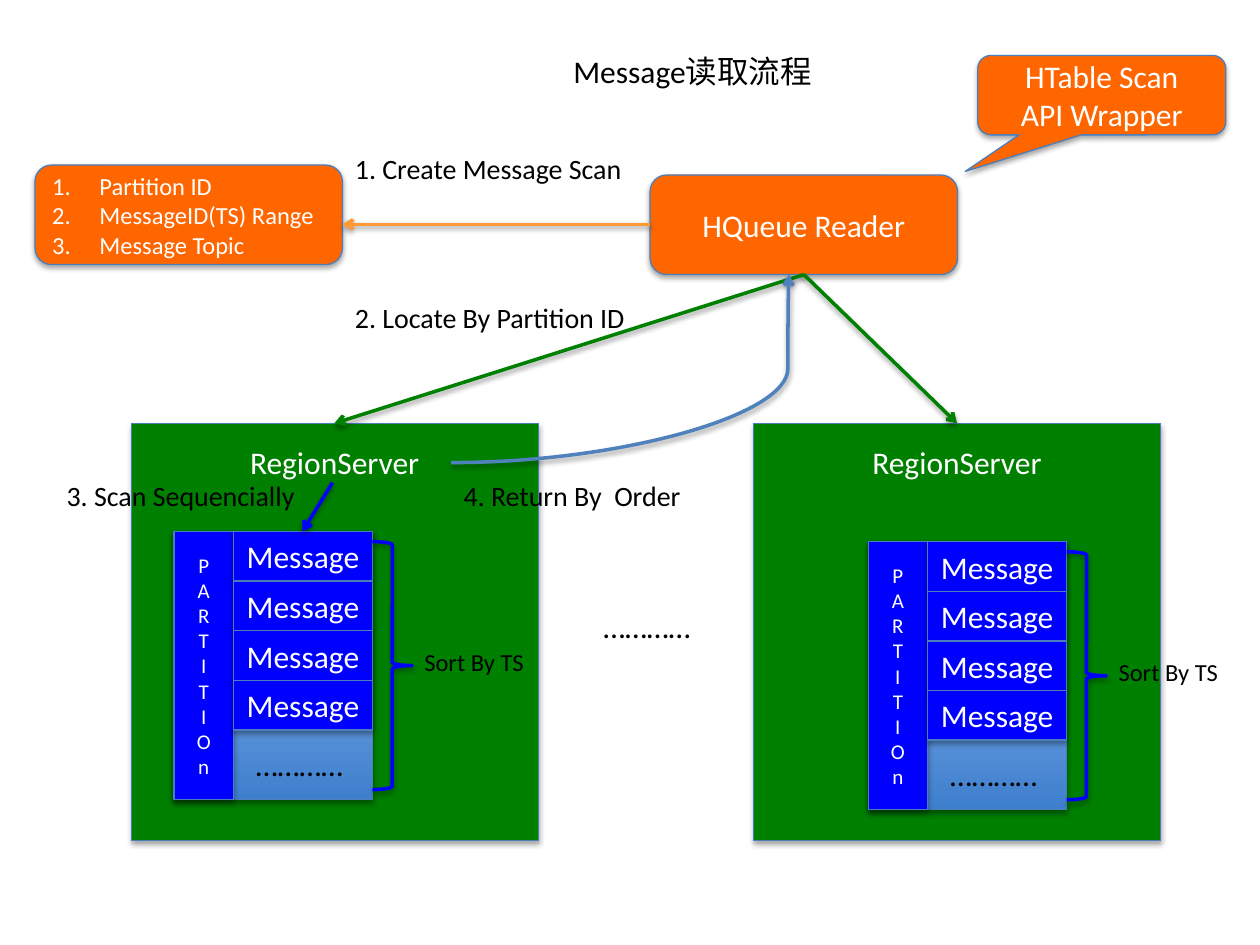
from lxml.etree import SubElement
from pptx import Presentation
from pptx.dml.color import RGBColor
from pptx.enum.shapes import MSO_CONNECTOR, MSO_SHAPE
from pptx.enum.text import MSO_ANCHOR, MSO_AUTO_SIZE, PP_ALIGN
from pptx.oxml.ns import qn
from pptx.util import Pt

ORANGE = RGBColor(0xFF, 0x66, 0x00)
LIGHT_ORANGE = RGBColor(0xFF, 0x99, 0x33)
GREEN = RGBColor(0x00, 0x80, 0x00)
BLUE = RGBColor(0x00, 0x00, 0xFF)
STEEL = RGBColor(0x4F, 0x81, 0xBD)
EDGE = RGBColor(0x4B, 0x7E, 0xBC)
WHITE = RGBColor(0xFF, 0xFF, 0xFF)
BLACK = RGBColor(0x00, 0x00, 0x00)

presentation = Presentation()
presentation.slide_width, presentation.slide_height = Pt(720), Pt(540)
slide = presentation.slides.add_slide(presentation.slide_layouts[5])


def write(frame, text, size, color, align):
    frame.text = text
    for paragraph in frame.paragraphs:
        paragraph.alignment = align
        paragraph.font.size = Pt(size)
        paragraph.font.name = "Calibri"
        paragraph.font.color.rgb = color


def add_box(kind, left, top, width, height, fill, text, size=18):
    box = slide.shapes.add_shape(kind, Pt(left), Pt(top), Pt(width), Pt(height))
    box.fill.solid()
    box.fill.fore_color.rgb = fill
    box.line.color.rgb = EDGE
    box.line.width = Pt(0.75)
    box.text_frame.vertical_anchor = MSO_ANCHOR.MIDDLE
    write(box.text_frame, text, size, WHITE, PP_ALIGN.CENTER)
    return box


title = slide.shapes.title
title.left, title.top, title.width, title.height = Pt(320.4), Pt(26), Pt(158.4), Pt(29)
title.text_frame.word_wrap = False
title.text_frame.auto_size = MSO_AUTO_SIZE.NONE
title.text_frame.vertical_anchor = MSO_ANCHOR.TOP
write(title.text_frame, "Message读取流程", 18, BLACK, PP_ALIGN.LEFT)

add_box(MSO_SHAPE.ROUNDED_RECTANGLE, 371.5, 100, 175.7, 56.9, ORANGE, "HQueue Reader")

wrapper = add_box(MSO_SHAPE.ROUNDED_RECTANGULAR_CALLOUT, 558.7, 31.7, 141.8, 45.4,
                  ORANGE, "HTable Scan\nAPI Wrapper")
wrapper.adjustments[0] = -0.55
wrapper.adjustments[1] = 0.96

scan = add_box(MSO_SHAPE.ROUNDED_RECTANGLE, 20, 94.3, 175.7, 56.9, ORANGE,
               "Partition ID\nMessageID(TS) Range\nMessage Topic", 14)
for item in scan.text_frame.paragraphs:
    item.alignment = PP_ALIGN.LEFT
    properties = item._p.get_or_add_pPr()
    properties.set("marL", str(Pt(27)))
    properties.set("indent", str(-Pt(27)))
    SubElement(properties, qn("a:buFont"), typeface="+mj-lt")
    SubElement(properties, qn("a:buAutoNum"), type="arabicPeriod")
    numbering = properties.findall(qn("a:buFont")) + properties.findall(qn("a:buAutoNum"))
    for offset, element in enumerate(numbering):
        properties.insert(offset, element)

labels = [
    ("1. Create Message Scan", 195.7, 82.8, 170, 26.6, 16),
    ("2. Locate By Partition ID", 195.7, 168, 171.4, 26.6, 16),
    ("3. Scan Sequencially", 31, 270, 146.9, 26.6, 16),
    ("4. Return By  Order", 257.8, 270, 140.4, 26.6, 16),
    ("…………", 337.7, 343.4, 66.2, 29, 18),
]

ROW = 28.35
for server_left, left, top in [(75, 99.4, 303.8), (430.6, 496.1, 309.6)]:
    server = add_box(MSO_SHAPE.RECTANGLE, server_left, 241.9, 232.6, 238.3, GREEN, "RegionServer")
    server.text_frame.vertical_anchor = MSO_ANCHOR.TOP
    server.text_frame.margin_top = Pt(11.5)

    slide.shapes.add_shape(MSO_SHAPE.RECTANGLE, Pt(left), Pt(top), Pt(113.4), Pt(153))
    add_box(MSO_SHAPE.RECTANGLE, left, top, 34, 153, BLUE, "\n".join("PARTITIOn"), 12)
    for row in range(4):
        add_box(MSO_SHAPE.RECTANGLE, left + 34, top + row * ROW, 79.4, ROW, BLUE, "Message")

    brace = slide.shapes.add_shape(MSO_SHAPE.RIGHT_BRACE, Pt(left + 113.4), Pt(top + 5.7),
                                   Pt(22.7), Pt(141.7))
    brace.fill.background()
    brace.line.color.rgb = BLUE
    brace.line.width = Pt(2)

    labels.append(("…………", left + 39.7, top + 118.5, 66.2, 29, 18))
    labels.append(("Sort By TS", left + 136, top + 62.5, 75.6, 24.2, 14))

STRAIGHT, CURVE = MSO_CONNECTOR.STRAIGHT, MSO_CONNECTOR.CURVE
for kind, color, *ends in [
    (STRAIGHT, GREEN, 459.4, 156.9, 191.1, 241.9),
    (STRAIGHT, GREEN, 459.4, 156.9, 546.9, 241.9),
    (STRAIGHT, LIGHT_ORANGE, 371.5, 128.2, 195.7, 128.2),
    (CURVE, STEEL, 257.8, 264.4, 450.8, 156.9),
    (STRAIGHT, BLUE, 190, 275.8, 172.8, 303.8),
]:
    arrow = slide.shapes.add_connector(kind, *map(Pt, ends))
    arrow.line.color.rgb = color
    arrow.line.width = Pt(2)
    SubElement(arrow.line._get_or_add_ln(), qn("a:tailEnd"), type="arrow")
    if kind == CURVE:
        guides = arrow._element.find(".//" + qn("a:avLst"))
        SubElement(guides, qn("a:gd"), name="adj1", fmla="val 99700")

for text, left, top, width, height, size in labels:
    label = slide.shapes.add_textbox(Pt(left), Pt(top), Pt(width), Pt(height))
    label.text_frame.word_wrap = False
    label.text_frame.auto_size = MSO_AUTO_SIZE.SHAPE_TO_FIT_TEXT
    write(label.text_frame, text, size, BLACK, PP_ALIGN.LEFT)

presentation.save("out.pptx")
